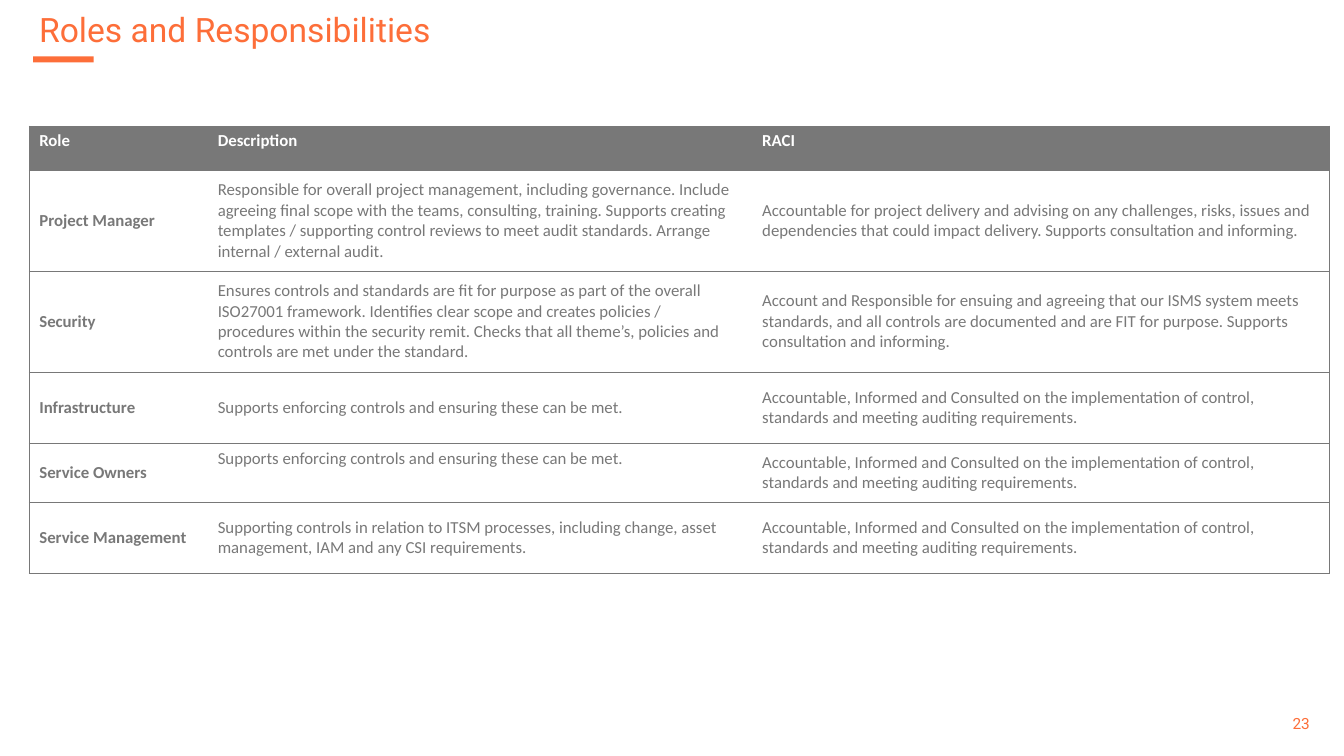
from lxml.etree import SubElement as Sub
from pptx import Presentation
from pptx.dml.color import RGBColor as Rgb
from pptx.enum.shapes import MSO_SHAPE as Shape
from pptx.enum.text import MSO_ANCHOR as Anchor, PP_ALIGN as Align
from pptx.oxml.ns import qn
from pptx.util import Inches, Pt

# Content
TITLE = "Roles and Responsibilities"
PAGE = "23"
MEET = "Supports enforcing controls and ensuring these can be met."
AUDIT = ("Accountable, Informed and Consulted on the implementation of control, "
         "standards and meeting auditing requirements.")
ROWS = [
    ("Role", "Description", "RACI"),
    ("Project Manager",
     "Responsible for overall project management, including governance. Include "
     "agreeing final scope with the teams, consulting, training. Supports creating "
     "templates / supporting control reviews to meet audit standards. Arrange "
     "internal / external audit.",
     "Accountable for project delivery and advising on any challenges, risks, issues "
     "and dependencies that could impact delivery. Supports consultation and informing."),
    ("Security",
     "Ensures controls and standards are fit for purpose as part of the overall "
     "ISO27001 framework. Identifies clear scope and creates policies / "
     "procedures within the security remit. Checks that all theme’s, policies and "
     "controls are met under the standard.",
     "Account and Responsible for ensuing and agreeing that our ISMS system meets "
     "standards, and all controls are documented and are FIT for purpose. Supports "
     "consultation and informing."),
    ("Infrastructure", MEET, AUDIT),
    ("Service Owners", MEET, AUDIT),
    ("Service Management",
     "Supporting controls in relation to ITSM processes, including change, asset "
     "management, IAM and any CSI requirements.", AUDIT),
]
TOP_CELLS = {(4, 1)}  # body cells whose text sits at the top
COLOR = {"accent": "FD6E39", "grey": "787878", "white": "FFFFFF"}

# Layout, in inches
WIDE, HIGH = 13.33, 7.5
LEFT, TOP = 0.29, 1.25
COLS = [1.77, 5.4, 5.72]
TALLS = [0.44, 1, 1, 0.71, 0.58, 0.71]


def rgb(name):
    return Rgb.from_string(COLOR[name])


def style(para, font, size, color, bold=False):
    para.font.name, para.font.size = font, Pt(size)
    para.font.bold = bold
    para.font.color.rgb = rgb(color)


def label(slide, box, text, size, align=Align.LEFT, anchor=Anchor.TOP):
    frame = slide.shapes.add_textbox(*map(Inches, box)).text_frame
    frame.word_wrap = True
    frame.vertical_anchor = anchor
    para = frame.paragraphs[0]
    para.text, para.alignment = text, align
    style(para, "Roboto", size, "accent")
    return para


def border(cell, sides):
    props = cell._tc.get_or_add_tcPr()
    for side in "LRTB":
        line = Sub(props, qn("a:ln" + side), w=str(Pt(0.5)))
        if side in sides:
            fill = Sub(line, qn("a:solidFill"))
            Sub(fill, qn("a:srgbClr"), val=COLOR["grey"])
        else:
            Sub(line, qn("a:noFill"))


def grid(slide):
    size = map(Inches, (LEFT, TOP, sum(COLS), sum(TALLS)))
    table = slide.shapes.add_table(len(ROWS), len(COLS), *size).table
    for col, wide in zip(table.columns, COLS):
        col.width = Inches(wide)
    for r, (texts, tall) in enumerate(zip(ROWS, TALLS)):
        table.rows[r].height = Inches(tall)
        head = r == 0
        for c, text in enumerate(texts):
            cell = table.cell(r, c)
            cell.text = text
            top = head or (r, c) in TOP_CELLS
            cell.vertical_anchor = Anchor.TOP if top else Anchor.MIDDLE
            style(cell.text_frame.paragraphs[0], "Calibri", 12,
                  "white" if head else "grey", head or c == 0)
            # Rules between rows, and an outline at both ends
            border(cell, "TB" + {0: "L", len(COLS) - 1: "R"}.get(c, ""))
            cell.fill.solid()
            cell.fill.fore_color.rgb = rgb("grey" if head else "white")


def main():
    deck = Presentation()
    deck.slide_width, deck.slide_height = Inches(WIDE), Inches(HIGH)
    slide = deck.slides.add_slide(deck.slide_layouts[6])

    # Title with its accent bar
    bar = slide.shapes.add_shape(Shape.RECTANGLE, *map(Inches, (0.33, 0.56, 0.6, 0.06)))
    bar.shadow.inherit = False
    bar.fill.solid()
    bar.fill.fore_color.rgb = rgb("accent")
    bar.line.fill.background()
    label(slide, (LEFT, 0.08, 11.57, 0.46), TITLE, 24).line_spacing = 0.9

    # Page number and table
    label(slide, (12.25, 6.98, 0.84, 0.4), PAGE, 11, Align.RIGHT, Anchor.MIDDLE)
    grid(slide)
    deck.save("out.pptx")


if __name__ == "__main__":
    main()
